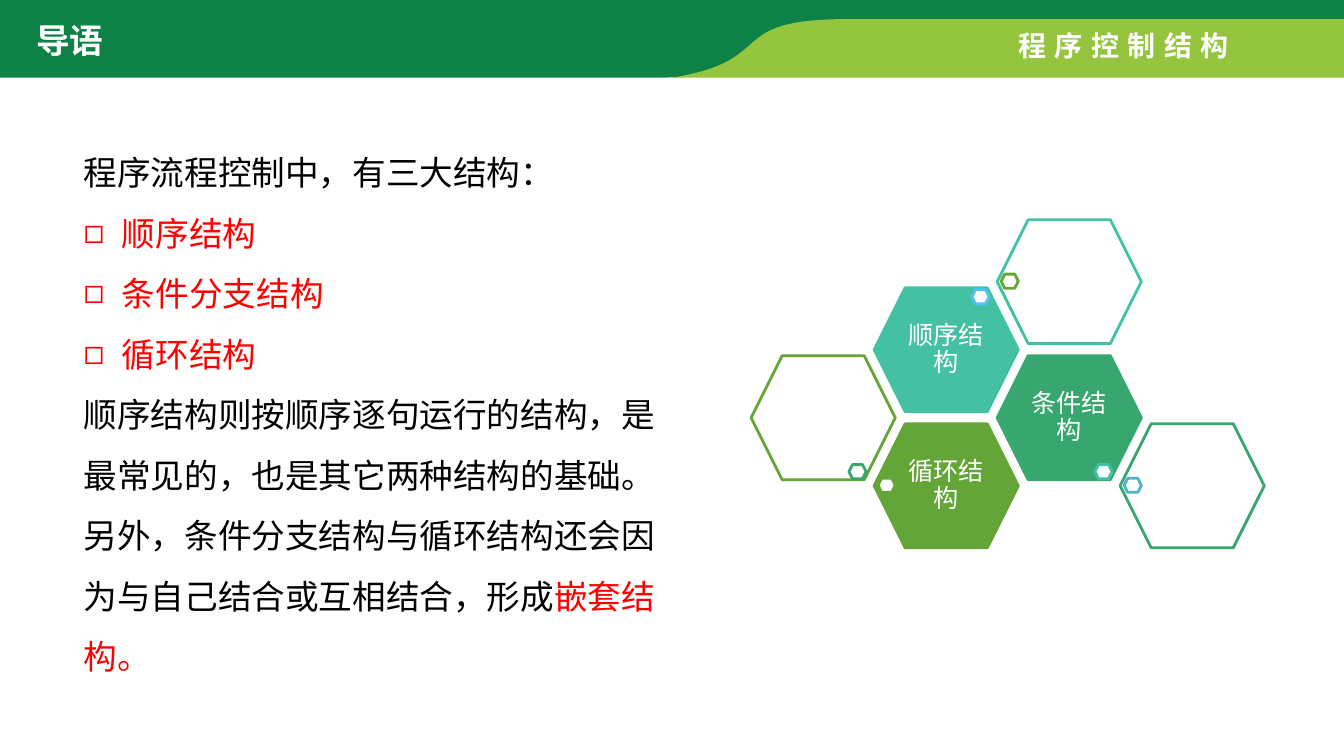
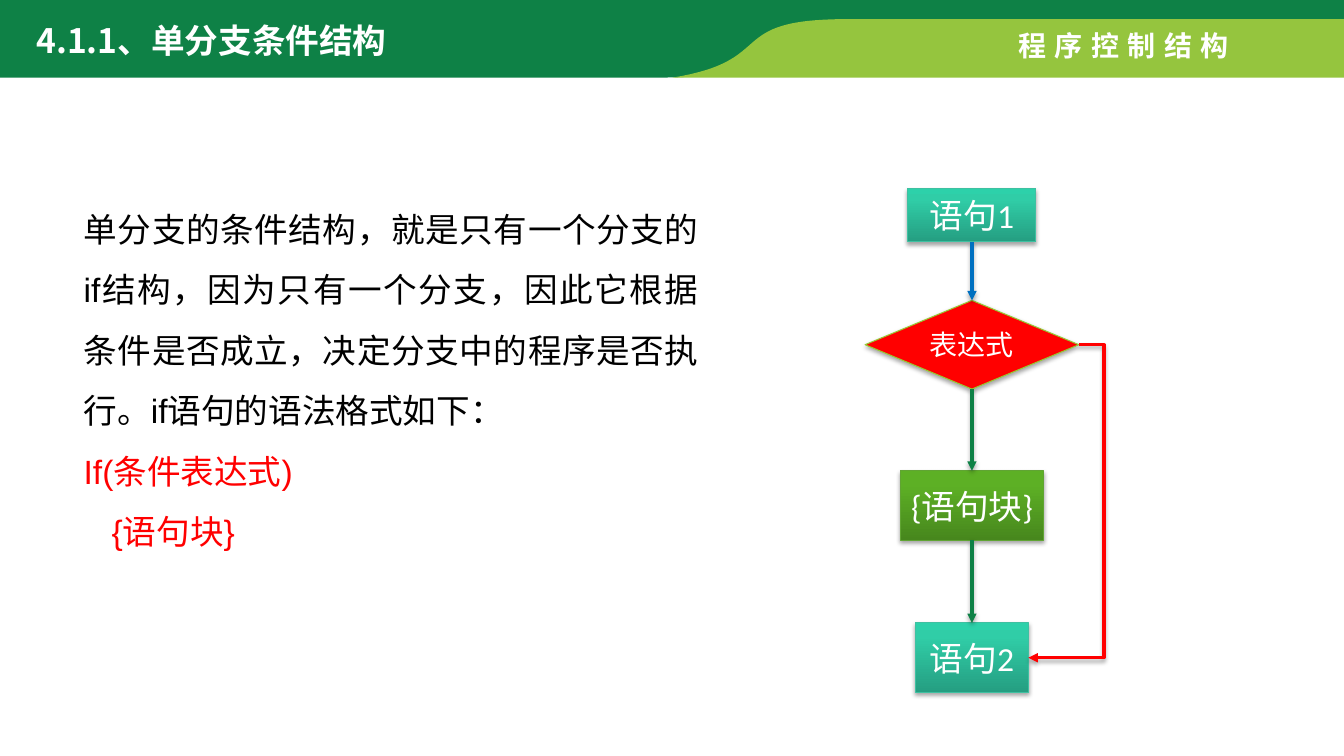
from dataclasses import dataclass, field
from typing import Any

from pptx import Presentation
from pptx import util as u
from pptx.dml.color import RGBColor
from pptx.enum import shapes, text
from pptx.oxml import parse_xml
from pptx.oxml.ns import nsdecls, qn

Inches, Pt = u.Inches, u.Pt
Point = tuple[float, float]

COLORS = {
    "white": "FFFFFF", "black": "000000", "red": "FF0000", "blue": "0070C0",
    "band": "0E8146", "band_light": "95C53E",
    "teal": "44C1A3", "green": "37A76F", "leaf": "63A537",
    "cyan": "4EB3CF", "sky": "51C3F9",
    "teal_edge": "3FC0A1", "leaf_edge": "60A433", "diamond_edge": "97CA33",
}
TEAL_GRADIENT = ((0, "259E81"), (0.8, "30CDA7"), (1, "2DD1AA"))
LEAF_GRADIENT = ((0, "47871D"), (0.8, "5DB025"), (1, "5DB323"))
CJK_FONT = "Noto Sans CJK SC"
CENTER, JUSTIFY = text.PP_ALIGN.CENTER, text.PP_ALIGN.JUSTIFY
TITLE = {"name": CJK_FONT, "size": Pt(24), "bold": True}
HEADER = {"name": "Arial", "size": Pt(20), "bold": True}
BODY = {"name": "Arial", "size": Pt(24)}
HEX_LABEL = {"name": "Arial", "size": Pt(18)}
BOX_FRAME = {"word_wrap": True, "vertical_anchor": text.MSO_ANCHOR.TOP,
             "auto_size": text.MSO_AUTO_SIZE.SHAPE_TO_FIT_TEXT}
HEX_FRAME = {"word_wrap": True, "margin_left": 0, "margin_right": 0,
             "margin_top": Inches(0.03), "margin_bottom": Inches(0.03)}

HEX_ORIGIN, HEX_SIZE, HEX_PITCH = (7.45, 2.18), (1.43, 1.23), (1.22, 1.35)
MARKER_SIZE = (0.17, 0.14)
MARKER_SPOTS = {"left": (0.04, 0.54), "top": (0.97, 0.02), "bottom": (0.97, 1.08)}
FLOW_CENTER = 9.64


@dataclass
class Para:
    runs: list[tuple[str, str]]
    bullet: bool = False
    fmt: dict[str, Any] = field(default_factory=dict)


@dataclass
class Cell:
    col: int
    row: int
    color: str
    marker: str
    marker_color: str
    label: str = ""


@dataclass
class Node:
    label: str
    top: float
    width: float
    height: float
    edge: str
    gradient: tuple = ()
    size: int = 24


@dataclass
class Link:
    begin: int
    end: int
    color: str


def rgb(name: str) -> RGBColor:
    return RGBColor.from_string(COLORS[name])


def apply(obj: Any, fmt: dict[str, Any]) -> None:
    for key, value in fmt.items():
        setattr(obj, key, value)


def place(s: Any, left: float, top: float, width: float, height: float) -> None:
    apply(s, {"left": Inches(left), "top": Inches(top),
              "width": Inches(width), "height": Inches(height)})


def add_run(p: Any, words: str, font: dict[str, Any], color: str) -> Any:
    r = p.add_run()
    r.text = words
    apply(r.font, font)
    r.font.color.rgb = rgb(color)
    r._r.get_or_add_rPr().append(
        parse_xml(f'<a:ea {nsdecls("a")} typeface="{CJK_FONT}"/>'))
    return r


def add_shadow(s: Any) -> None:
    s._element.spPr.append(parse_xml(
        f'<a:effectLst {nsdecls("a")}><a:outerShdw blurRad="40000" dist="23000" '
        'dir="5400000" rotWithShape="0"><a:srgbClr val="000000">'
        '<a:alpha val="35000"/></a:srgbClr></a:outerShdw></a:effectLst>'))


def curve(a: Point, b: Point, c: Point, d: Point, steps: int = 32) -> list[Point]:
    points = []
    for i in range(steps + 1):
        t = i / steps
        w = ((1 - t) ** 3, 3 * t * (1 - t) ** 2, 3 * t * t * (1 - t), t ** 3)
        points.append(tuple(sum(k * q[axis] for k, q in zip(w, (a, b, c, d)))
                            for axis in (0, 1)))
    return points


def add_band(slide: Any, points: list[Point], color: str) -> Any:
    emu = [(Inches(x), Inches(y)) for x, y in points]
    builder = slide.shapes.build_freeform(*emu[0])
    builder.add_line_segments(emu[1:], close=True)
    s = builder.convert_to_shape()
    s.fill.solid()
    s.fill.fore_color.rgb = rgb(color)
    s.line.fill.background()
    s.shadow.inherit = False
    return s


def set_layout_header(layout: Any, slide: Any) -> None:
    dark = [(0, 0), (13.33, 0), (13.33, 0.24), (8.27, 0.24),
            *curve((8.09, 0.28), (7.27, 0.44), (7.7, 0.77), (6.55, 0.77)), (0, 0.77)]
    light = [(13.33, 0.19), (13.33, 0.77),
             *curve((6.67, 0.77), (7.73, 0.6), (7.17, 0.19), (8.39, 0.19))]
    bands = [add_band(slide, dark, "band"), add_band(slide, light, "band_light")]
    box = slide.shapes.add_textbox(Inches(10), Inches(0.23), Inches(2.39), Inches(0.44))
    apply(box.text_frame, {**BOX_FRAME, "word_wrap": False})
    r = add_run(box.text_frame.paragraphs[0], "程序控制结构", HEADER, "white")
    r._r.get_or_add_rPr().set("spc", "600")
    for i, s in enumerate([*bands, box]):
        s._element.xpath(".//p:cNvPr")[0].set("id", str(20 + i))
        layout.shapes._spTree.insert(2 + i, s._element)
    place(layout.placeholders[0], 0.26, 0.15, 3.77, 0.5)


def fill_title(slide: Any, words: str) -> None:
    tf = slide.shapes.title.text_frame
    apply(tf, BOX_FRAME)
    p = tf.paragraphs[0]
    p.alignment = text.PP_ALIGN.LEFT
    add_run(p, words, TITLE, "white")


def fill_body(slide: Any, area: tuple, paras: list[Para]) -> None:
    s = slide.placeholders[1]
    place(s, *area)
    tf = s.text_frame
    apply(tf, BOX_FRAME)
    for i, para in enumerate(paras):
        p = tf.add_paragraph() if i else tf.paragraphs[0]
        pPr = p._p.get_or_add_pPr()
        indent = Inches(0.38) if para.bullet else 0
        pPr.set("marL", str(indent))
        pPr.set("indent", str(-indent))
        marks = ('<a:buFont {} typeface="Arial"/>', '<a:buChar {} char="◻"/>')
        for mark in marks if para.bullet else ("<a:buNone {}/>",):
            pPr.append(parse_xml(mark.format(nsdecls("a"))))
        apply(p, {"line_spacing": 1.5, "space_before": Pt(0), **para.fmt})
        for words, color in para.runs:
            add_run(p, words, BODY, color)


def add_hexagon(slide: Any, at: Point, size: Point, fill: str, line: str) -> Any:
    s = slide.shapes.add_shape(shapes.MSO_SHAPE.HEXAGON, *map(Inches, (*at, *size)))
    s.shadow.inherit = False
    s.fill.solid()
    s.fill.fore_color.rgb = rgb(fill)
    s.line.color.rgb = rgb(line)
    s.line.width = Pt(2)
    return s


def add_cell(slide: Any, cell: Cell) -> None:
    x = HEX_ORIGIN[0] + cell.col * HEX_PITCH[0]
    y = HEX_ORIGIN[1] + cell.row * HEX_PITCH[1] / 2
    s = add_hexagon(slide, (x, y), HEX_SIZE, cell.color if cell.label else "white", cell.color)
    if cell.label:
        apply(s.text_frame, HEX_FRAME)
        p = s.text_frame.paragraphs[0]
        apply(p, {"alignment": CENTER, "line_spacing": 0.9})
        add_run(p, cell.label, HEX_LABEL, "white")
    dx, dy = MARKER_SPOTS[cell.marker]
    add_hexagon(slide, (x + dx, y + dy), MARKER_SIZE, "white", cell.marker_color)


def add_node(slide: Any, node: Node) -> Any:
    kind = shapes.MSO_SHAPE.RECTANGLE if node.gradient else shapes.MSO_SHAPE.DIAMOND
    s = slide.shapes.add_shape(kind, *map(Inches, (
        FLOW_CENTER - node.width / 2, node.top, node.width, node.height)))
    if node.gradient:
        s.fill.gradient()
        s.fill.gradient_angle = 90
        stops = s._element.spPr.find(".//" + qn("a:gsLst"))
        stops.append(parse_xml(
            f'<a:gs {nsdecls("a")} pos="100000"><a:srgbClr val="FFFFFF"/></a:gs>'))
        for stop, (position, color) in zip(s.fill.gradient_stops, node.gradient):
            stop.position = position
            stop.color.rgb = RGBColor.from_string(color)
    else:
        s.fill.solid()
        s.fill.fore_color.rgb = rgb("red")
    s.line.color.rgb = rgb(node.edge)
    s.line.width = Pt(0.75)
    add_shadow(s)
    p = s.text_frame.paragraphs[0]
    p.alignment = CENTER
    add_run(p, node.label, {"name": "Calibri", "size": Pt(node.size)}, "white")
    return s


def add_arrow(slide: Any, begin: Any, end: Any, color: str, bypass: bool = False) -> None:
    kind = shapes.MSO_CONNECTOR.ELBOW if bypass else shapes.MSO_CONNECTOR.STRAIGHT
    s = slide.shapes.add_connector(kind, 0, 0, 0, 0)
    s.begin_connect(begin, 3 if bypass else 2)
    s.end_connect(end, 3 if bypass else 0)
    if bypass:
        s._element.spPr.prstGeom.get_or_add_avLst().append(parse_xml(
            f'<a:gd {nsdecls("a")} name="adj1" fmla="val -50000"/>'))
    s.line.color.rgb = rgb(color)
    s.line.width = Pt(2.25)
    s.line._get_or_add_ln().append(parse_xml(f'<a:tailEnd {nsdecls("a")} type="triangle"/>'))
    add_shadow(s)


def build_intro(slide: Any) -> None:
    fill_title(slide, "导语")
    bullets = [Para([(words, "red")], bullet=True)
               for words in ("顺序结构", "条件分支结构", "循环结构")]
    fill_body(slide, (0.73, 1.26, 6.19, 5.55), [
        Para([("程序流程控制中，有三大结构：", "black")]),
        *bullets,
        Para([("顺序结构则按顺序逐句运行的结构，是最常见的，也是其它两种结构的基础。"
               "另外，条件分支结构与循环结构还会因为与自己结合或互相结合，形成", "black"),
              ("嵌套结构。", "red")]),
    ])
    for cell in (
        Cell(1, 3, "leaf", "left", "leaf", "循环结构"),
        Cell(0, 2, "leaf", "bottom", "green"),
        Cell(2, 2, "green", "bottom", "teal", "条件结构"),
        Cell(3, 3, "green", "left", "cyan"),
        Cell(1, 1, "teal", "top", "sky", "顺序结构"),
        Cell(2, 0, "teal", "left", "leaf"),
    ):
        add_cell(slide, cell)


def build_single_branch(slide: Any) -> None:
    fill_title(slide, "4.1.1、单分支条件结构")
    lines = (("单分支的条件结构，就是只有一个分支的if结构，因为只有一个分支，因此它根据条件"
              "是否成立，决定分支中的程序是否执行。if语句的语法格式如下：", "black"),
             ("If(条件表达式)", "red"), ("   {语句块}", "red"))
    fill_body(slide, (0.73, 1.82, 6.3, 3.74),
              [Para([line], fmt={"alignment": JUSTIFY}) for line in lines])
    nodes = [add_node(slide, node) for node in (
        Node("语句1", 1.87, 1.27, 0.53, "teal_edge", TEAL_GRADIENT),
        Node("表达式", 2.98, 2.12, 0.88, "diamond_edge", size=20),
        Node("{语句块}", 4.67, 1.42, 0.69, "leaf_edge", LEAF_GRADIENT),
        Node("语句2", 6.18, 1.12, 0.69, "teal_edge", TEAL_GRADIENT),
    )]
    for link in (Link(0, 1, "blue"), Link(1, 2, "band"), Link(2, 3, "band")):
        add_arrow(slide, nodes[link.begin], nodes[link.end], link.color)
    add_arrow(slide, nodes[1], nodes[3], "red", bypass=True)


def main() -> None:
    prs = Presentation()
    prs.slide_width, prs.slide_height = Inches(13.33), Inches(7.5)
    layout = prs.slide_layouts[1]
    intro, single_branch = (prs.slides.add_slide(layout) for _ in range(2))
    set_layout_header(layout, intro)
    build_intro(intro)
    build_single_branch(single_branch)
    prs.save("out.pptx")


if __name__ == "__main__":
    main()
